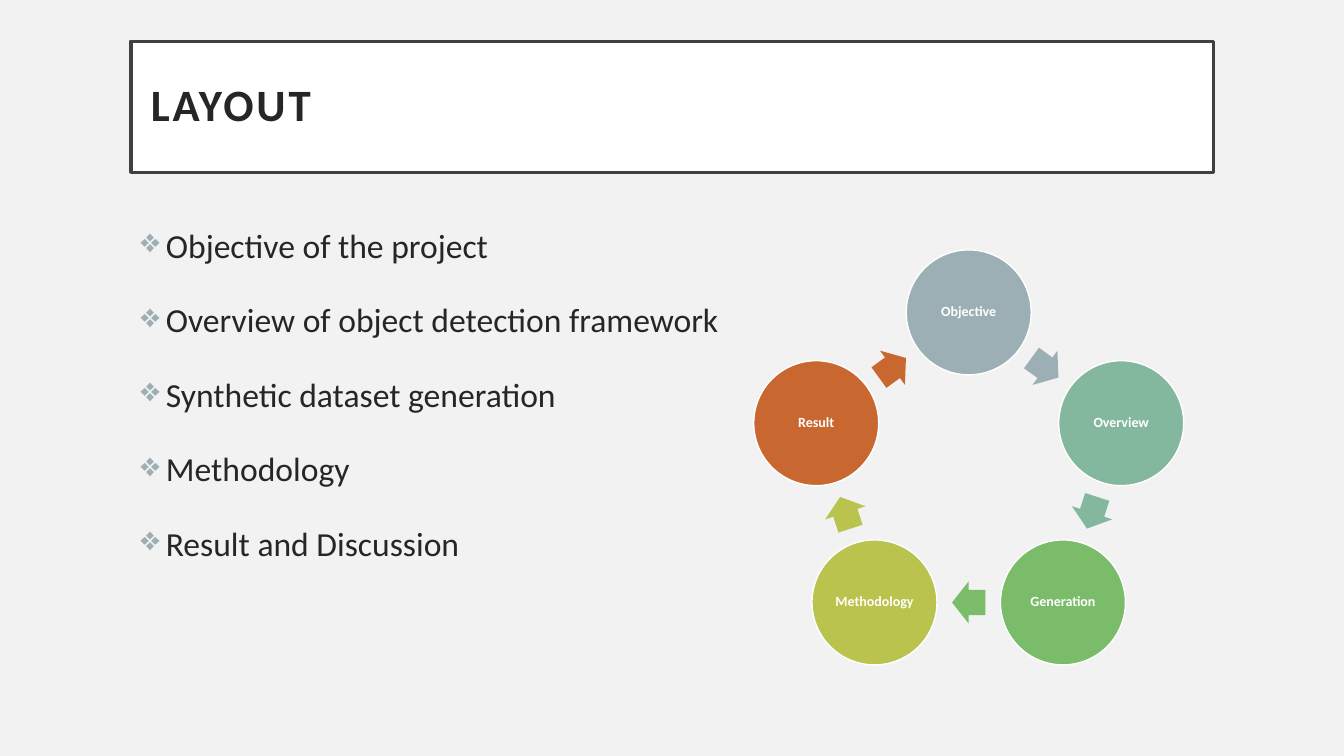
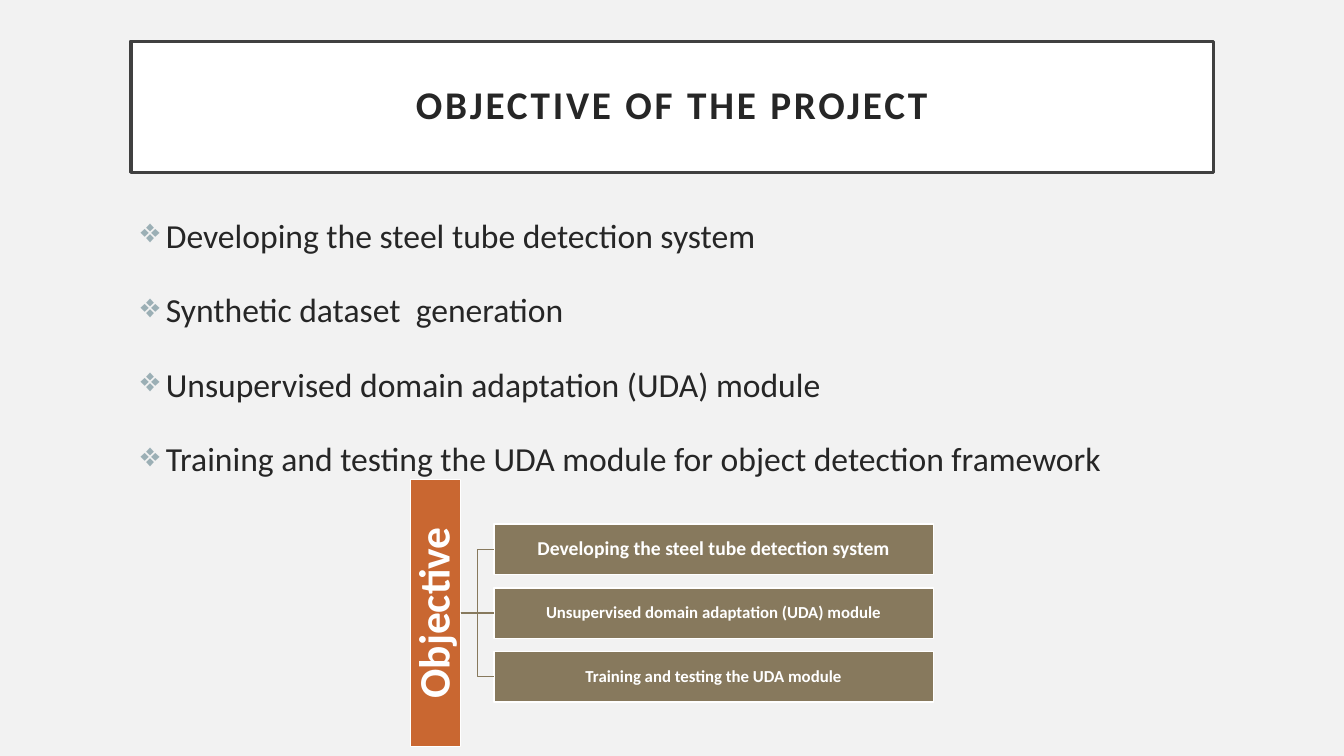
from math import cos, pi, sin

from lxml.etree import SubElement
from pptx import Presentation
from pptx.dml.color import RGBColor
from pptx.enum.shapes import MSO_CONNECTOR, MSO_SHAPE
from pptx.enum.text import MSO_ANCHOR, MSO_AUTO_SIZE, PP_ALIGN
from pptx.oxml.ns import qn
from pptx.util import Inches, Pt

PAPER = RGBColor(0xF2, 0xF2, 0xF2)
WHITE = RGBColor(0xFF, 0xFF, 0xFF)
INK = RGBColor(0x26, 0x26, 0x26)
FRAME = RGBColor(0x40, 0x40, 0x40)
MIST = RGBColor(0x9B, 0xAF, 0xB5)
SAGE = RGBColor(0x83, 0xB7, 0x9E)
GREEN = RGBColor(0x7A, 0xBC, 0x69)
LIME = RGBColor(0xBA, 0xC3, 0x4D)
RUST = RGBColor(0xC9, 0x67, 0x31)
OLIVE = RGBColor(0x87, 0x79, 0x5D)

deck = Presentation()
deck.slide_width, deck.slide_height = Inches(13.333), Inches(7.5)
deck.slide_master.background.fill.solid()
deck.slide_master.background.fill.fore_color.rgb = PAPER
title_only = deck.slide_layouts[5]


def area(left, top, width, height):
    """Turn percentages of the slide's width and height into lengths."""
    wide, high = deck.slide_width / 100, deck.slide_height / 100
    return [round(n) for n in (left * wide, top * high, width * wide, height * high)]


def write(shape, *lines, size, color=WHITE, bold=True, align=PP_ALIGN.CENTER,
          anchor=MSO_ANCHOR.MIDDLE, inset=0.01, spacing=0.9, before=0,
          tracking=0, bullet=None):
    """Put one paragraph per line into the shape and format it."""
    frame = shape.text_frame
    frame.word_wrap = True
    frame.auto_size = MSO_AUTO_SIZE.NONE
    frame.vertical_anchor = anchor
    if inset is not None:
        frame.margin_left = frame.margin_right = Inches(inset)
        frame.margin_top = frame.margin_bottom = Inches(inset)
    for number, line in enumerate(lines):
        paragraph = frame.add_paragraph() if number else frame.paragraphs[0]
        paragraph.alignment = align
        paragraph.line_spacing = spacing
        paragraph.space_before = Pt(before if number else 0)
        if bullet:
            properties = paragraph._p.get_or_add_pPr()
            properties.set("marL", str(Inches(0.25)))
            properties.set("indent", str(-Inches(0.25)))
            tint = SubElement(properties, qn("a:buClr"))
            SubElement(tint, qn("a:srgbClr")).set("val", str(MIST))
            SubElement(properties, qn("a:buChar")).set("char", bullet)
        run = paragraph.add_run()
        run.text = line
        run.font.name, run.font.size, run.font.bold = "Calibri", Pt(size), bold
        run.font.color.rgb = color
        if tracking:
            run._r.get_or_add_rPr().set("spc", str(tracking * 100))


# Framed title and bullet list of every slide
MARGIN, CONTENT = 9.73, 80.55
BODY_END = 94.53
outlines = [
    ("LAYOUT", 32, PP_ALIGN.LEFT, 26.4, [
        "Objective of the project",
        "Overview of object detection framework",
        "Synthetic dataset generation",
        "Methodology",
        "Result and Discussion",
    ]),
    ("OBJECTIVE OF THE PROJECT", 28, PP_ALIGN.CENTER, 25.07, [
        "Developing the steel tube detection system",
        "Synthetic dataset  generation",
        "Unsupervised domain adaptation (UDA) module",
        "Training and testing the UDA module for object detection framework",
    ]),
]
slides = []
for heading, size, align, body_top, points in outlines:
    slide = deck.slides.add_slide(title_only)
    slides.append(slide)
    banner = slide.shapes.title
    banner.left, banner.top, banner.width, banner.height = area(MARGIN, 5.47, CONTENT, 17.33)
    banner.fill.solid()
    banner.fill.fore_color.rgb = WHITE
    banner.line.color.rgb = FRAME
    banner.line.width = Pt(2.5)
    write(banner, heading, size=size, color=INK, align=align, inset=0.2, tracking=2)

    body = slide.shapes.add_textbox(*area(MARGIN, body_top, CONTENT, BODY_END - body_top))
    write(body, *points, size=24, color=INK, bold=False, align=PP_ALIGN.LEFT,
          anchor=MSO_ANCHOR.TOP, inset=None, spacing=1.5, before=10, bullet="❖")

layout_slide, objective_slide = slides

# Cycle of five stages, each followed by an arrow to the next
ASPECT = 16 / 9
CENTER_X, CENTER_Y, RADIUS = 72.08, 62.53, 11.93
STAGE = 9.3
ARROW_WIDTH, ARROW_HEIGHT = 2.48, 5.6
stages = [("Objective", MIST), ("Overview", SAGE), ("Generation", GREEN),
          ("Methodology", LIME), ("Result", RUST)]
step = 2 * pi / len(stages)
for number, (stage, color) in enumerate(stages):
    turn = number * step
    x = CENTER_X + RADIUS * sin(turn)
    y = CENTER_Y - RADIUS * ASPECT * cos(turn)
    circle = layout_slide.shapes.add_shape(MSO_SHAPE.OVAL, *area(
        x - STAGE / 2, y - STAGE * ASPECT / 2, STAGE, STAGE * ASPECT))
    circle.line.color.rgb = WHITE
    circle.line.width = Pt(1)
    write(circle, stage, size=10)

    turn += step / 2
    reach = RADIUS * cos(step / 2)
    x = CENTER_X + reach * sin(turn)
    y = CENTER_Y - reach * ASPECT * cos(turn)
    arrow = layout_slide.shapes.add_shape(MSO_SHAPE.RIGHT_ARROW, *area(
        x - ARROW_WIDTH / 2, y - ARROW_HEIGHT / 2, ARROW_WIDTH, ARROW_HEIGHT))
    arrow.adjustments[0], arrow.adjustments[1] = 0.6, 0.5
    arrow.rotation = (number + 0.5) * 360 / len(stages)
    arrow.line.fill.background()
    for part in (circle, arrow):
        part.fill.solid()
        part.fill.fore_color.rgb = color
        part.shadow.inherit = False

# Objective tree: upright root and three goals
GOAL_TOP, GOAL_HEIGHT, GOAL_STEP = 69.33, 6.67, 8.43
ROOT_HEIGHT = 35.33
root_top = GOAL_TOP + GOAL_STEP + GOAL_HEIGHT / 2 - ROOT_HEIGHT / 2
branches = [
    ("Objective", 31, RUST, area(30.53, root_top, 3.75, ROOT_HEIGHT)),
]
goals = [
    ("Developing the steel tube detection system", 14),
    ("Unsupervised domain adaptation (UDA) module", 12),
    ("Training and testing the UDA module", 12),
]
for row, (goal, size) in enumerate(goals):
    place = area(36.75, GOAL_TOP + row * GOAL_STEP, 32.7, GOAL_HEIGHT)
    branches.append((goal, size, OLIVE, place))

bars = []
for label, size, color, place in branches:
    bar = objective_slide.shapes.add_shape(MSO_SHAPE.RECTANGLE, *place)
    bar.fill.solid()
    bar.fill.fore_color.rgb = color
    bar.line.color.rgb = WHITE
    bar.line.width = Pt(1)
    bar.shadow.inherit = False
    write(bar, label, size=size)
    bars.append(bar)
root, *goal_bars = bars
root.text_frame._txBody.bodyPr.set("vert", "vert270")

# Lines from the root to its goals
for row, goal_bar in enumerate(goal_bars):
    kind = MSO_CONNECTOR.STRAIGHT if row == 1 else MSO_CONNECTOR.ELBOW
    link = objective_slide.shapes.add_connector(kind, 0, 0, 0, 0)
    link.begin_connect(root, 3)
    link.end_connect(goal_bar, 1)
    link.line.color.rgb = OLIVE
    link.line.width = Pt(1)
    SubElement(link._element.spPr, qn("a:effectLst"))

deck.save("out.pptx")
